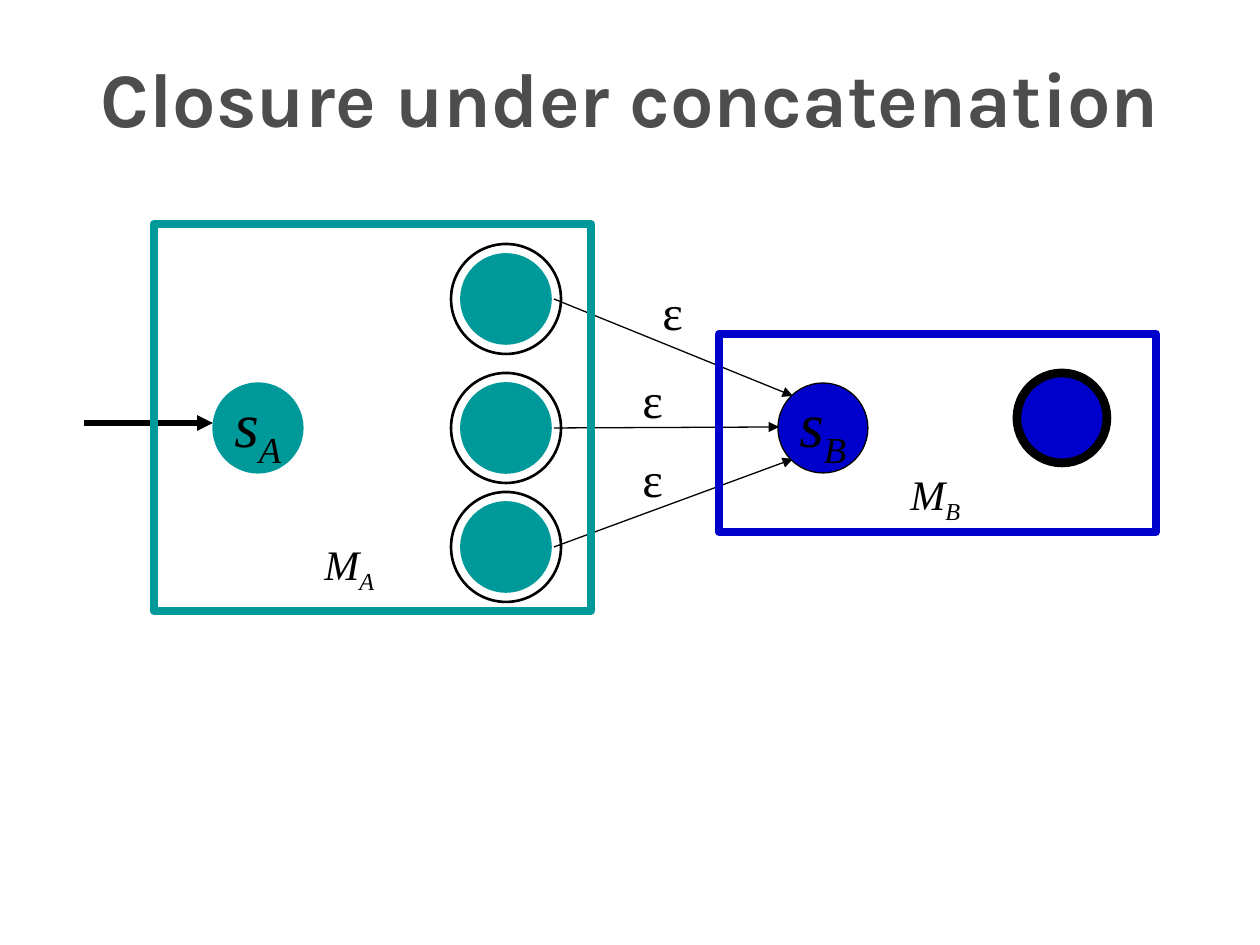
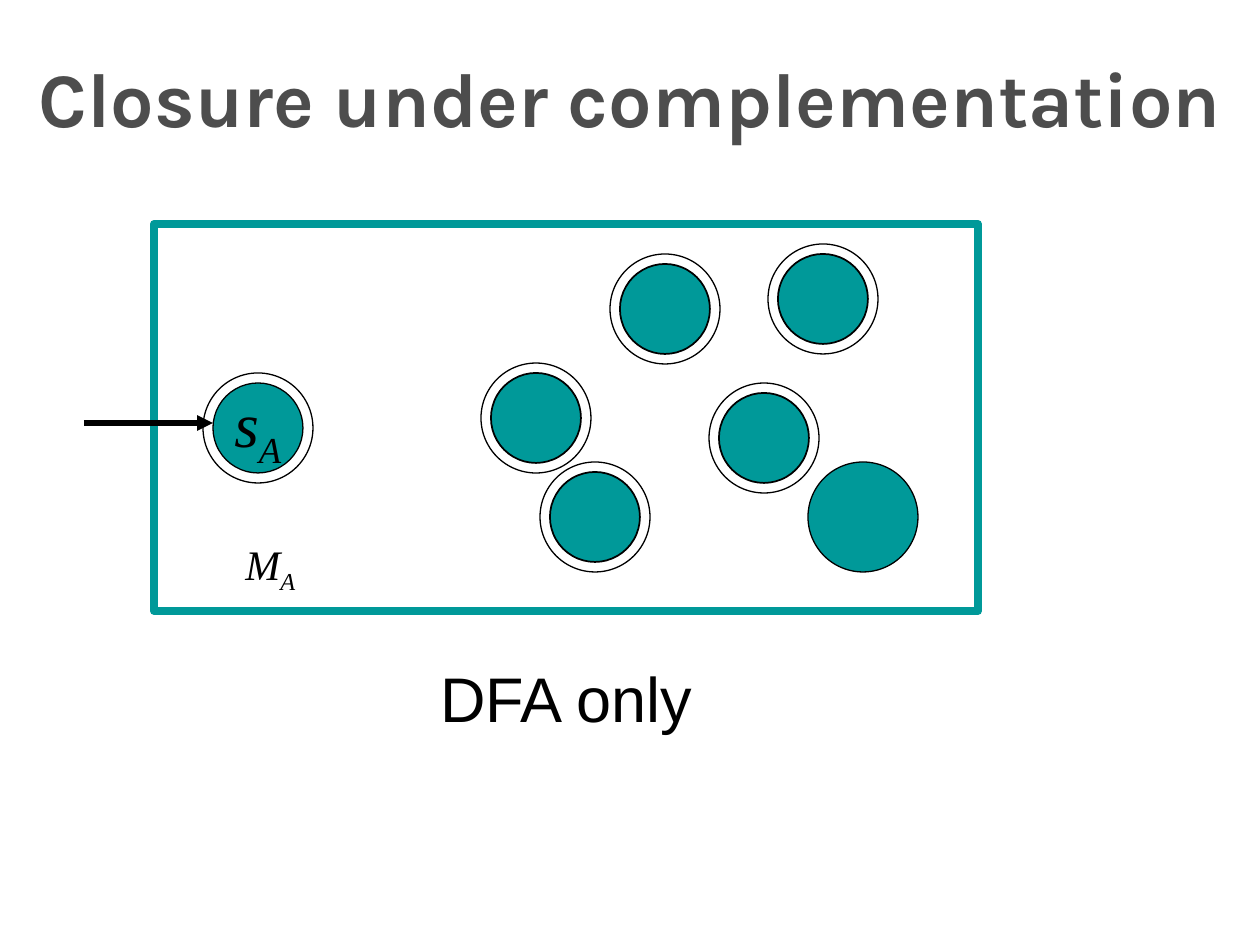
from lxml import etree
from pptx import Presentation
from pptx.dml.color import RGBColor
from pptx.enum.shapes import MSO_CONNECTOR as CONNECTOR, MSO_SHAPE as SHAPE
from pptx.enum.text import MSO_ANCHOR as ANCHOR, PP_ALIGN as ALIGN
from pptx.oxml.ns import qn
from pptx.util import Pt

EMU_PER_PX = 914400 / 126
TEAL, BLUE, BLACK, GREY = "009999", "0000CC", "000000", "4D4D4D"
SERIF, SANS, TITLE_FONT = "Times New Roman", "Arial", "Karla"
STATE, RING = 90, 110  # diameters

TITLE_AREA = (25, 27, 1211, 139)
START_ARROW = ((84, 423), (213, 423))
START_A, START_B, FINAL_B = (258, 428), (823, 428), (1062, 418)

# Concatenation
FRAME_A, FRAME_B = (154, 224, 437, 387), (719, 334, 437, 198)
FINALS_A = [(506, 299), (506, 428), (506, 547)]
ARROW_TIPS = [(793, 396), (779, 427), (793, 459)]
EPSILONS = [(650, 275), (630, 363), (630, 442)]

# Complementation
WIDE_FRAME = (154, 224, 824, 387)
FINALS = [(764, 438), (823, 299), (595, 517), (536, 418), (665, 309)]
NON_FINAL = (863, 517)


def px(*lengths):
    return [round(length * EMU_PER_PX) for length in lengths]


def color(value):
    return RGBColor.from_string(value)


def write(box, text, size, font, tint=BLACK, sub="", bold=False, italic=False,
          align=ALIGN.LEFT, wrap=False):
    """Set one line of text, with an optional subscript run."""
    frame = box.text_frame
    frame.word_wrap = wrap
    para = frame.paragraphs[0]
    para.alignment = align
    for part in filter(None, (text, sub)):
        span = para.add_run()
        span.text = part
        span.font.size = Pt(size)
        span.font.name = font
        span.font.bold = bold
        span.font.italic = italic
        span.font.color.rgb = color(tint)
    if sub:
        span.font._element.set("baseline", "-25000")
    return frame


def add_text(page, area, text, size, font, **style):
    return write(page.shapes.add_textbox(*px(*area)), text, size, font, **style)


def add_outline(page, kind, area, line, width, fill=None):
    shape = page.shapes.add_shape(kind, *px(*area))
    shape.shadow.inherit = False
    if fill:
        shape.fill.solid()
        shape.fill.fore_color.rgb = color(fill)
    else:
        shape.fill.background()
    shape.line.color.rgb = color(line)
    shape.line.width = Pt(width)
    return shape


def add_frame(page, area, tint):
    add_outline(page, SHAPE.RECTANGLE, area, tint, 4.5)


def add_circle(page, center, diameter, line, width, fill=None):
    x, y = center
    area = (x - diameter / 2, y - diameter / 2, diameter, diameter)
    return add_outline(page, SHAPE.OVAL, area, line, width, fill)


def add_start(page, center, letter, fill, line):
    circle = add_circle(page, center, STATE, line, 0.75, fill)
    frame = write(circle, "s", 36, SERIF, sub=letter, italic=True, align=ALIGN.CENTER)
    frame.vertical_anchor = ANCHOR.MIDDLE


def add_final(page, center, line, ring_width):
    add_circle(page, center, STATE, line, 1, TEAL)
    add_circle(page, center, RING, BLACK, ring_width)


def add_machine_name(page, left, top, letter):
    add_text(page, (left, top, 92, 71), "M", 24, SERIF, sub=letter, italic=True, wrap=True)


def add_arrow(page, start, end, width):
    arrow = page.shapes.add_connector(CONNECTOR.STRAIGHT, *px(*start, *end))
    arrow.line.color.rgb = color(BLACK)
    arrow.line.width = Pt(width)
    etree.SubElement(arrow.line._get_or_add_ln(), qn("a:tailEnd"), type="triangle")
    etree.SubElement(arrow._element.spPr, qn("a:effectLst"))


def add_page(deck, title):
    page = deck.slides.add_slide(deck.slide_layouts[6])
    frame = add_text(page, TITLE_AREA, title, 44, TITLE_FONT, tint=GREY, bold=True,
                     align=ALIGN.CENTER, wrap=True)
    frame.vertical_anchor = ANCHOR.MIDDLE
    frame.margin_left = frame.margin_right = 0
    return page


def build_concatenation(deck):
    page = add_page(deck, "Closure under concatenation")
    add_arrow(page, *START_ARROW, 3)
    for (x, y), tip, label in zip(FINALS_A, ARROW_TIPS, EPSILONS):
        add_arrow(page, (x + 48, y), tip, 0.75)
        add_text(page, (*label, 45, 72), "ε", 28, SERIF)

    add_frame(page, FRAME_A, TEAL)
    add_start(page, START_A, "A", TEAL, TEAL)
    for center in FINALS_A:
        add_final(page, center, TEAL, 1.5)
    add_machine_name(page, 312, 532, "A")

    add_frame(page, FRAME_B, BLUE)
    add_circle(page, FINAL_B, STATE, BLACK, 5, BLUE)
    add_start(page, START_B, "B", BLUE, BLACK)
    add_machine_name(page, 898, 462, "B")


def build_complementation(deck):
    page = add_page(deck, "Closure under complementation")
    add_frame(page, WIDE_FRAME, TEAL)
    add_arrow(page, *START_ARROW, 3)
    add_start(page, START_A, "A", TEAL, BLACK)
    add_circle(page, START_A, RING, BLACK, 0.75)
    for center in FINALS:
        add_final(page, center, BLACK, 0.75)
    add_circle(page, NON_FINAL, RING, BLACK, 0.75, TEAL)
    add_machine_name(page, 233, 532, "A")
    add_text(page, (428, 653, 284, 88), "DFA only", 36, SANS)


def main():
    deck = Presentation()
    deck.slide_width, deck.slide_height = px(1260, 945)
    build_concatenation(deck)
    build_complementation(deck)
    deck.save("out.pptx")


if __name__ == "__main__":
    main()
